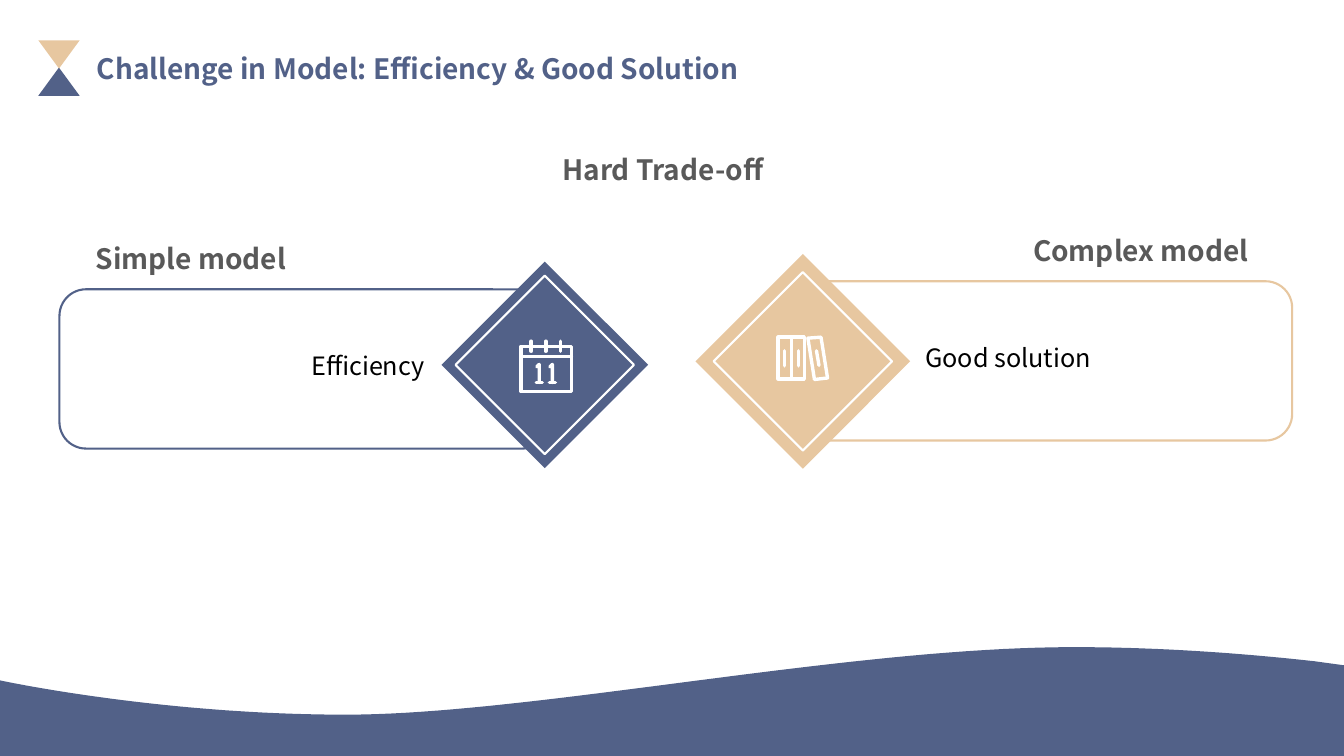
from pptx import Presentation
from pptx.dml.color import RGBColor as Rgb
from pptx.enum.shapes import MSO_CONNECTOR as Link, MSO_SHAPE as Kind
from pptx.enum.text import MSO_ANCHOR as Anchor, PP_ALIGN as Align
from pptx.oxml.ns import qn
from pptx.util import Emu, Pt
from lxml.etree import SubElement as Sub

COLS, ROWS = 160, 90
CELL = 76200
FONT = "Noto Sans CJK SC"
HUE = {"navy": "526188", "sand": "E7C7A0", "gray": "595959",
       "black": "000000", "white": "FFFFFF"}

BOOKS = [
    [(-2.94, -2.88), (0.18, -2.88), (0.18, 2.1), (-2.94, 2.1), (-2.94, -2.88)],
    [(-1.38, -2.88), (-1.38, 2.1)],
    [(-2.22, -1.26), (-2.22, 0.54)],
    [(-0.54, -1.26), (-0.54, 0.54)],
    [(0.6, -2.76), (2.16, -2.88), (2.94, 1.98), (1.38, 2.16), (0.6, -2.76)],
    [(1.62, -1.26), (1.92, 0.48)],
]
DATES = [
    [(-2.82, -2.22), (3.18, -2.22), (3.18, 3.18), (-2.82, 3.18), (-2.82, -2.22)],
    [(-2.82, -1.02), (3.18, -1.02)],
]
DATES += [[(x, -2.82), (x, -1.62)] for x in (-1.62, 0.12, 1.86)]
for x in (-0.66, 0.9):
    DATES += [[(x - 0.3, 0.24), (x, -0.06), (x, 2.1)],
              [(x - 0.36, 2.1), (x + 0.36, 2.1)]]


def grid(*vals):
    return [Emu(round(v * CELL)) for v in vals]


def tint(name):
    return Rgb.from_string(HUE[name])


def paint(shape, fill=None, line=None, size=1.5):
    shape.shadow.inherit = False
    if fill:
        shape.fill.solid()
        shape.fill.fore_color.rgb = tint(fill)
    else:
        shape.fill.background()
    if line:
        shape.line.color.rgb = tint(line)
        shape.line.width = Pt(size)
    else:
        shape.line.fill.background()


def write(shape, words, size, color, bold=False, align=Align.LEFT):
    frame = shape.text_frame
    frame.word_wrap = True
    frame.vertical_anchor = Anchor.TOP
    para = frame.paragraphs[0]
    para.alignment = align
    run = para.add_run()
    run.text = words
    font = run.font
    font.name, font.size, font.bold = FONT, Pt(size), bold
    font.color.rgb = tint(color)


def note(slide, box, *args, **opts):
    write(slide.shapes.add_textbox(*grid(*box)), *args, **opts)


def trace(slide, dots):
    pts = [tuple(grid(*dot)) for dot in dots]
    pen = slide.shapes.build_freeform(*pts[0])
    pen.add_line_segments(pts[1:], close=dots[0] == dots[-1])
    return pen.convert_to_shape()


def stroke(slide, dots):
    if len(dots) == 2:
        mark = slide.shapes.add_connector(Link.STRAIGHT, *grid(*dots[0], *dots[1]))
        mark.line.color.rgb = tint("white")
        mark.line.width = Pt(2.4)
        Sub(mark.line._get_or_add_ln().getparent(), qn("a:effectLst"))
    else:
        mark = trace(slide, dots)
        paint(mark, line="white", size=2.4)
    mark.line._get_or_add_ln().set("cap", "rnd")


def curve(a, b, c, d, steps=40):
    for i in range(steps + 1):
        t = i / steps
        s = 1 - t
        yield tuple(s**3 * p + 3 * s * s * t * q + 3 * s * t * t * r + t**3 * u
                    for p, q, r, u in zip(a, b, c, d))


def wave(slide, top, low, end):
    dip, peak = (41.16, low), (127.8, top)
    dots = [*curve((0, 81), (0, 81), (18.84, low), dip),
            *curve(dip, (63.36, low), (100.8, top), peak),
            *curve(peak, (137.88, top), (147.84, 77.76), (156.48, 78.72)),
            (COLS, 79.2), (COLS, end), (0, end), (0, 81)]
    paint(trace(slide, dots), "navy")


def header(slide, box, words):
    x, y, w, h = box
    for row, color, turn in ((3.24, "navy", 0), (0, "sand", 180)):
        tri = slide.shapes.add_shape(
            Kind.ISOSCELES_TRIANGLE, *grid(x, y + row, 4.92, 3.36))
        tri.rotation = turn
        paint(tri, color)
    title = slide.shapes.title
    title.left, title.top, title.width, title.height = grid(
        x + 5.76, y + 0.72, w - 5.76, 5.28)
    write(title, words, 20, "navy", bold=True)


def panel(slide, box, color, head, label, hub, icon, align):
    x, y, w, h = box
    frame = slide.shapes.add_shape(Kind.ROUNDED_RECTANGLE, *grid(*box))
    paint(frame, line=color)
    words, dx, wide = head
    note(slide, (x + dx, y - 6.24, wide, 5.28), words, 20, "gray", bold=True)
    dx, dy, size = hub
    mx, my = x + dx, y + dy
    for side, fill, line in ((size, color, None), (21.24, None, "white")):
        gem = slide.shapes.add_shape(
            Kind.DIAMOND, *grid(mx - side / 2, my - side / 2, side, side))
        paint(gem, fill, line)
    for dots in icon:
        stroke(slide, [(mx + p, my + q) for p, q in dots])
    words, dx, wide = label
    note(slide, (x + dx, y + 6.72, wide, 4.8), words, 18, "black", align=align)


def main():
    deck = Presentation()
    deck.slide_width, deck.slide_height = grid(COLS, ROWS)
    slide = deck.slides.add_slide(deck.slide_layouts[5])
    wave(slide, 77.04, 85.08, ROWS)
    header(slide, (4.56, 4.8, 89.64, 6.6),
           "Challenge in Model: Efficiency & Good Solution")
    panel(slide, (95.52, 33.48, 58.32, 18.96), "sand",
          ("Complex model", 26.28, 29.04), ("Good solution", 13.44, 23.16),
          (0.06, 9.54, 25.56), BOOKS, Align.LEFT)
    panel(slide, (7.08, 34.44, 58.32, 18.96), "navy",
          ("Simple model", 3.12, 25.56), ("Efficiency", 23.28, 21.36),
          (57.78, 9.0, 24.6), DATES, Align.RIGHT)
    note(slide, (65.76, 17.52, 28.68, 5.28), "Hard Trade-off", 20, "gray", bold=True)
    deck.save("out.pptx")


if __name__ == "__main__":
    main()
